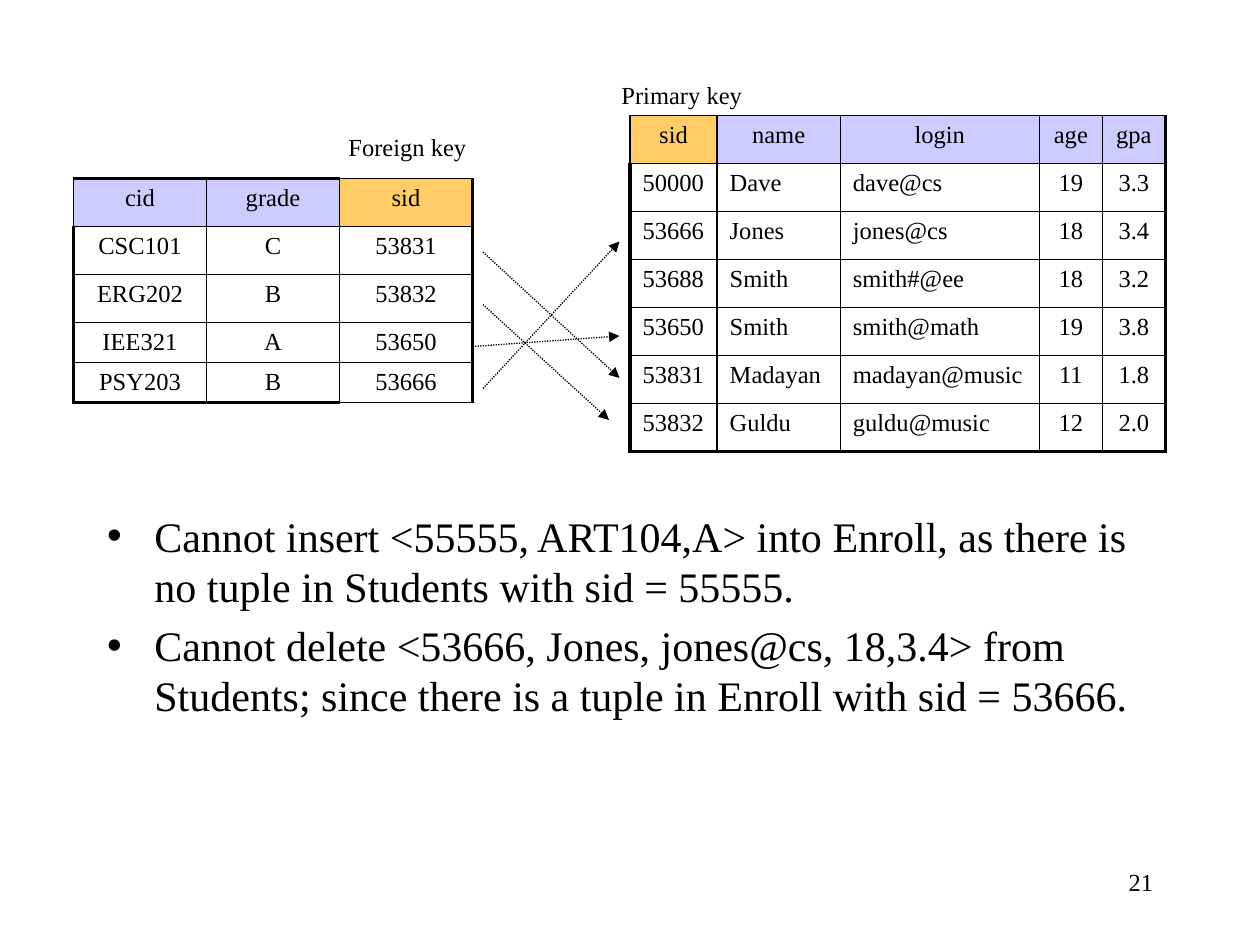
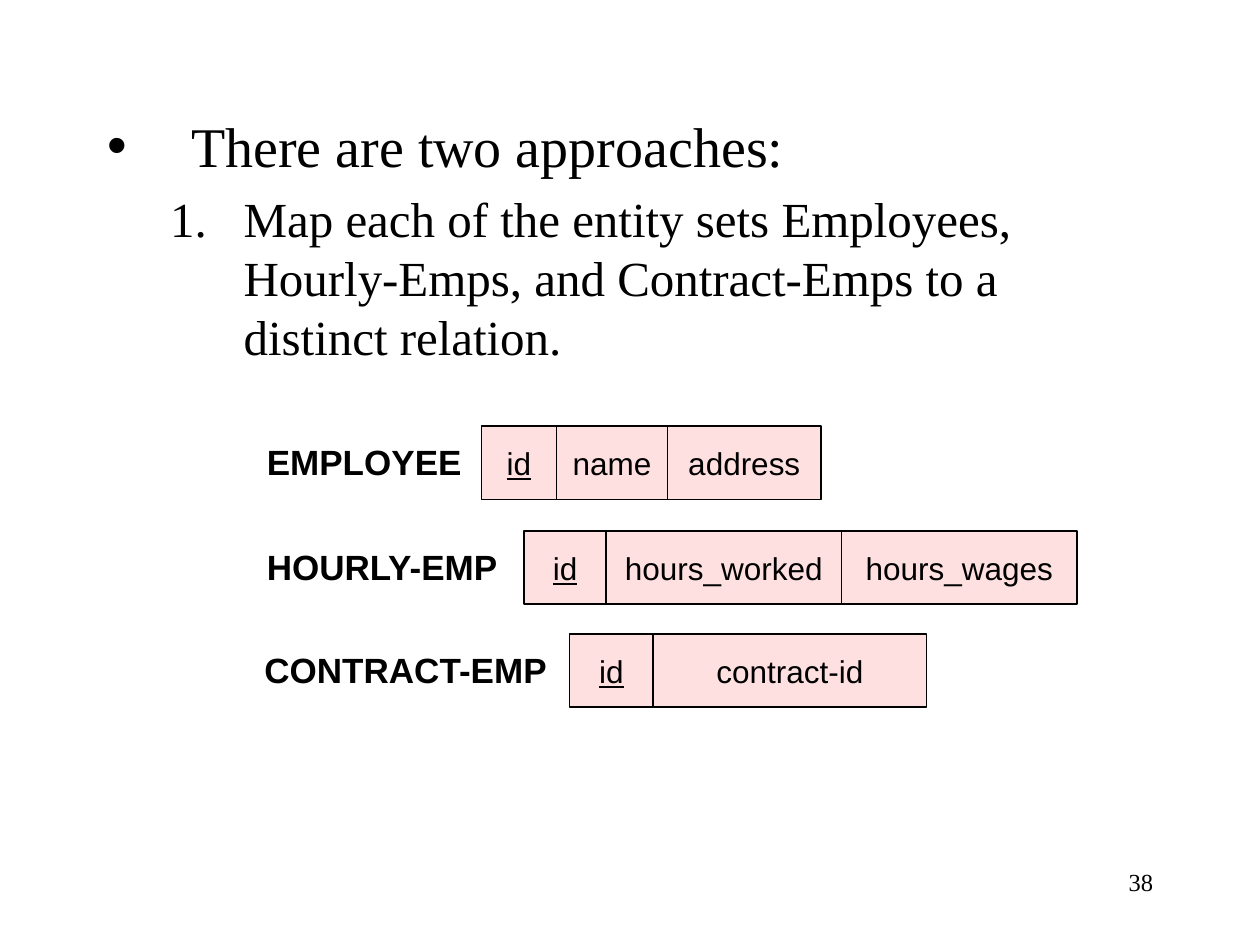
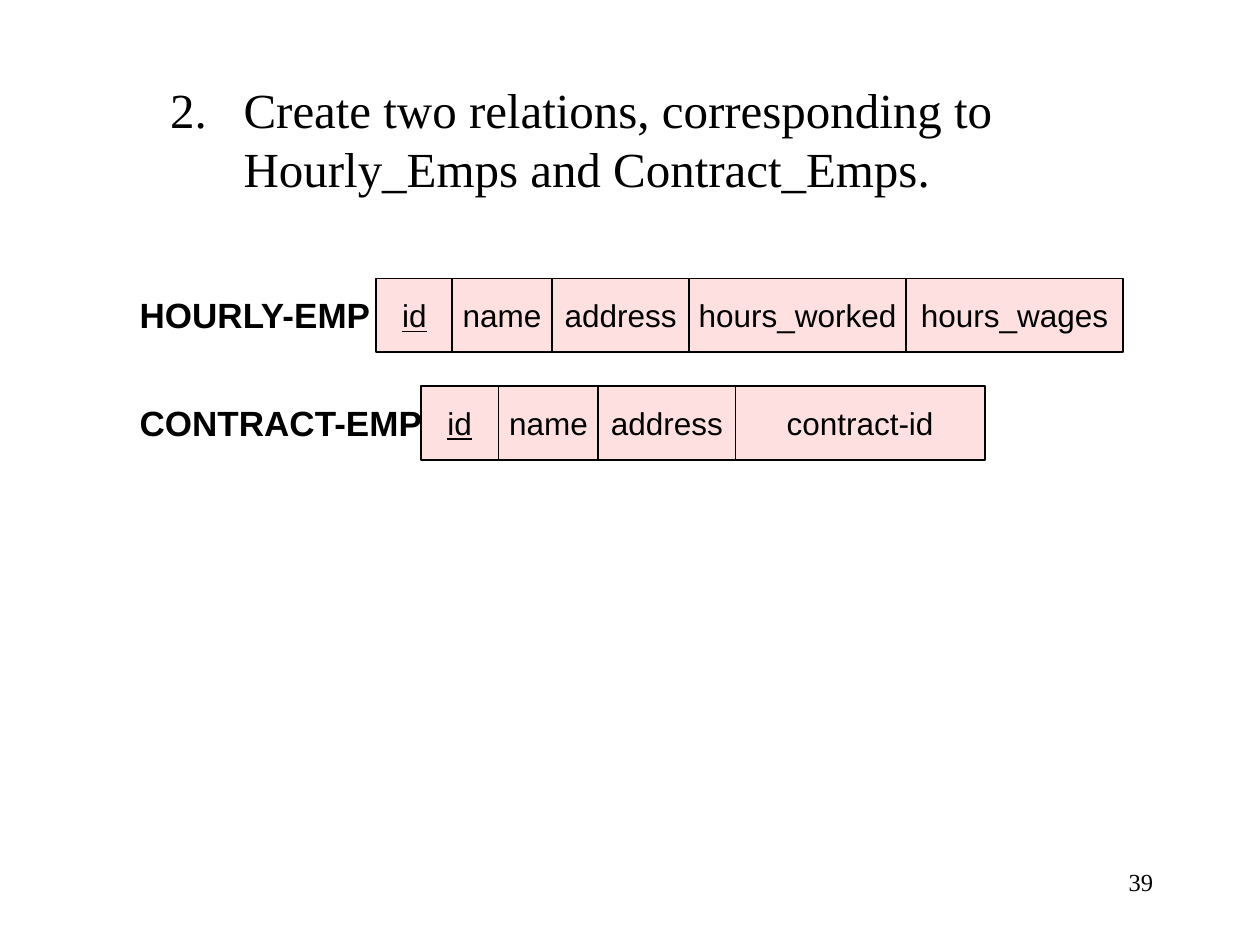
from dataclasses import dataclass
from itertools import accumulate

import pptx
import pptx.dml.color
import pptx.enum.dml
import pptx.enum.shapes
import pptx.enum.text
import pptx.oxml
import pptx.oxml.ns
import pptx.util
from lxml import etree

Pt = pptx.util.Pt
Align = pptx.enum.text.PP_ALIGN
Anchor = pptx.enum.text.MSO_ANCHOR


@dataclass(frozen=True)
class Theme:
    serif: str = "Times New Roman"
    sans: str = "Arial"
    ink: str = "000000"
    header: str = "CCCCFF"
    key: str = "FFCC66"
    field: str = "FFE0E0"
    small: int = 14
    field_size: int = 18
    label_size: int = 20
    fact_size: int = 24
    step_size: int = 28
    lead_size: int = 32
    thin: float = 1
    thick: float = 2.25
    dotted: float = 0.75


def color(value):
    return pptx.dml.color.RGBColor.from_string(value)


def add_xml(parent, tag, **attributes):
    return etree.SubElement(parent, pptx.oxml.ns.qn(tag), attributes)


class SlideBuilder:
    def __init__(self, deck, theme):
        self.deck = deck
        self.theme = theme
        self.slide = None

    def new_slide(self, number):
        self.slide = self.deck.slides.add_slide(self.deck.slide_layouts[1])
        title = self.slide.shapes.title.element
        title.getparent().remove(title)
        self.text(516, 492, 150, 36, str(number), align=Align.RIGHT, wrap=True)

    def span(self, para, words, size, font=None, bold=False, underline=False):
        span = para.add_run()
        span.text = words
        span.font.name = font or self.theme.serif
        span.font.size = Pt(size)
        span.font.bold = bold
        span.font.underline = underline
        span.font.color.rgb = color(self.theme.ink)

    def text(self, left, top, width, height, words, size=None, font=None,
             bold=False, align=Align.LEFT, anchor=Anchor.TOP, wrap=False):
        box = self.slide.shapes.add_textbox(Pt(left), Pt(top), Pt(width), Pt(height))
        frame = box.text_frame
        frame.word_wrap = wrap
        frame.vertical_anchor = anchor
        para = frame.paragraphs[0]
        para.alignment = align
        self.span(para, words, size or self.theme.small, font, bold)

    def body(self, top, height, items):
        box = self.slide.placeholders[1]
        box.left, box.top, box.width, box.height = Pt(54), Pt(top), Pt(612), Pt(height)
        frame = box.text_frame
        frame.word_wrap = True
        frame.auto_size = pptx.enum.text.MSO_AUTO_SIZE.NONE
        for index, (words, size, indent, hanging, start) in enumerate(items):
            para = frame.paragraphs[0] if index == 0 else frame.add_paragraph()
            para.level = 1 if start else 0
            para.space_before = Pt(size * 0.2 if index else 0)
            properties = para._p.get_or_add_pPr()
            properties.set("marL", str(Pt(indent)))
            properties.set("indent", str(-Pt(hanging)))
            if start:
                add_xml(properties, "a:buFontTx")
                add_xml(properties, "a:buAutoNum", type="arabicPeriod", startAt=str(start))
            else:
                add_xml(properties, "a:buChar", char="•")
            self.span(para, words, size)

    def table(self, left, top, widths, heights, rows, key, left_columns=(),
              heavy_top=0, heavy_bottom=0):
        frame = self.slide.shapes.add_table(
            len(rows), len(widths), Pt(left), Pt(top), Pt(sum(widths)), Pt(sum(heights)))
        table = frame.table
        table.first_row = table.horz_banding = False
        for column, width in zip(table.columns, widths):
            column.width = Pt(width)
        for row, height in zip(table.rows, heights):
            row.height = Pt(height)
        for row, values in enumerate(rows):
            for column, words in enumerate(values):
                cell = table.cell(row, column)
                cell.margin_bottom = Pt(2.4)
                last_row = row == len(rows) - 1
                self.borders(cell, {
                    "a:lnL": column == 0 and row > 0,
                    "a:lnR": column == len(widths) - 1,
                    "a:lnT": row == 0 and column < heavy_top,
                    "a:lnB": last_row and column < heavy_bottom,
                })
                if row == 0:
                    cell.fill.solid()
                    fill = self.theme.key if column == key else self.theme.header
                    cell.fill.fore_color.rgb = color(fill)
                else:
                    cell.fill.background()
                para = cell.text_frame.paragraphs[0]
                plain = row > 0 and column in left_columns
                para.alignment = Align.LEFT if plain else Align.CENTER
                self.span(para, words, self.theme.small)

    def borders(self, cell, edges):
        properties = cell._tc.get_or_add_tcPr()
        for tag, heavy in edges.items():
            width = self.theme.thick if heavy else self.theme.thin
            line = add_xml(properties, tag, w=str(Pt(width)))
            add_xml(add_xml(line, "a:solidFill"), "a:srgbClr", val=self.theme.ink)

    def arrow(self, start, end):
        arrow = self.slide.shapes.add_connector(
            pptx.enum.shapes.MSO_CONNECTOR.STRAIGHT, *map(Pt, start + end))
        arrow.line.width = Pt(self.theme.dotted)
        arrow.line.color.rgb = color(self.theme.ink)
        arrow.line.dash_style = pptx.enum.dml.MSO_LINE.ROUND_DOT
        add_xml(arrow.line._get_or_add_ln(), "a:tailEnd", type="triangle")
        add_xml(arrow._element.spPr, "a:effectLst")

    def field(self, left, top, width, height, words):
        box = self.slide.shapes.add_shape(
            pptx.enum.shapes.MSO_SHAPE.RECTANGLE, Pt(left), Pt(top), Pt(width), Pt(height))
        box.shadow.inherit = False
        box.fill.solid()
        box.fill.fore_color.rgb = color(self.theme.field)
        box.line.color.rgb = color(self.theme.ink)
        box.line.width = Pt(self.theme.thin)
        frame = box.text_frame
        frame.word_wrap = False
        frame.vertical_anchor = Anchor.MIDDLE
        para = frame.paragraphs[0]
        para.alignment = Align.CENTER
        self.span(para, words, self.theme.field_size, self.theme.sans, underline=words == "id")

    def relation(self, name, label_left, label_width, left, top, fields):
        height = 42
        self.text(label_left, top - 3.5, label_width, height + 6, name, self.theme.label_size,
                  self.theme.sans, bold=True, anchor=Anchor.MIDDLE)
        offsets = accumulate(fields.values(), initial=left)
        for field_left, (words, width) in zip(offsets, fields.items()):
            self.field(field_left, top, width, height, words)


def foreign_key_slide(builder):
    size = builder.theme.fact_size
    builder.new_slide(21)
    builder.body(288, 216, [
        ("Cannot insert <55555, ART104,A> into Enroll, as there is no tuple in Students "
         "with sid = 55555.", size, 27, 27, None),
        ("Cannot delete <53666, Jones, jones@cs, 18,3.4> from Students; since there is "
         "a tuple in Enroll with sid = 53666.", size, 27, 27, None),
    ])
    students = [
        ("sid", "name", "login", "age", "gpa"),
        ("50000", "Dave", "dave@cs", "19", "3.3"),
        ("53666", "Jones", "jones@cs", "18", "3.4"),
        ("53688", "Smith", "smith#@ee", "18", "3.2"),
        ("53650", "Smith", "smith@math", "19", "3.8"),
        ("53831", "Madayan", "madayan@music", "11", "1.8"),
        ("53832", "Guldu", "guldu@music", "12", "2.0"),
    ]
    builder.table(360, 66, [49.8, 70.4, 113.8, 36, 36], [27.43] * 7, students,
                  key=0, left_columns=(0, 1, 2), heavy_bottom=5)
    enroll = [
        ("cid", "grade", "sid"),
        ("CSC101", "C", "53831"),
        ("ERG202", "B", "53832"),
        ("IEE321", "A", "53650"),
        ("PSY203", "B", "53666"),
    ]
    builder.table(42, 102, [76] * 3, [27.43] * 3 + [22.8] * 2, enroll,
                  key=2, heavy_top=2, heavy_bottom=2)
    for start, end in [((276, 144), (354, 216)), ((276, 174), (348, 240)),
                       ((270, 198), (354, 192)), ((276, 222), (354, 138))]:
        builder.arrow(start, end)
    builder.text(192, 72, 82, 24, "Foreign key")
    builder.text(348, 42, 84, 24, "Primary key")


def distinct_relations_slide(builder):
    theme = builder.theme
    builder.new_slide(38)
    builder.body(60, 420, [
        ("There are two approaches:", theme.lead_size, 48, 48, None),
        ("Map each of the entity sets Employees, Hourly-Emps, and Contract-Emps to a "
         "distinct relation.", theme.step_size, 78, 42, 1),
    ])
    builder.relation("EMPLOYEE", 145.4, 130, 275.2, 243.4,
                     {"id": 42.8, "name": 63.4, "address": 87.8})
    builder.relation("HOURLY-EMP", 145.4, 150, 299.5, 303.4,
                     {"id": 46.8, "hours_worked": 134.6, "hours_wages": 134.6})
    builder.relation("CONTRACT-EMP", 144, 180, 325.4, 362.2,
                     {"id": 48, "contract-id": 156})


def two_relations_slide(builder):
    builder.new_slide(39)
    builder.body(42, 438, [
        ("Create two relations, corresponding to Hourly_Emps and Contract_Emps.",
         builder.theme.step_size, 78, 42, 2),
    ])
    shared = {"name": 57, "address": 78.4}
    builder.relation("HOURLY-EMP", 72.7, 150, 215, 159.2,
                     {"id": 43.4, **shared, "hours_worked": 124, "hours_wages": 124})
    builder.relation("CONTRACT-EMP", 72.7, 180, 240.5, 220.8,
                     {"id": 44.4, **shared, "contract-id": 142.4})


def main():
    deck = pptx.Presentation()
    deck.slide_width, deck.slide_height = Pt(720), Pt(540)
    builder = SlideBuilder(deck, Theme())
    foreign_key_slide(builder)
    distinct_relations_slide(builder)
    two_relations_slide(builder)
    deck.save("out.pptx")


if __name__ == "__main__":
    main()
